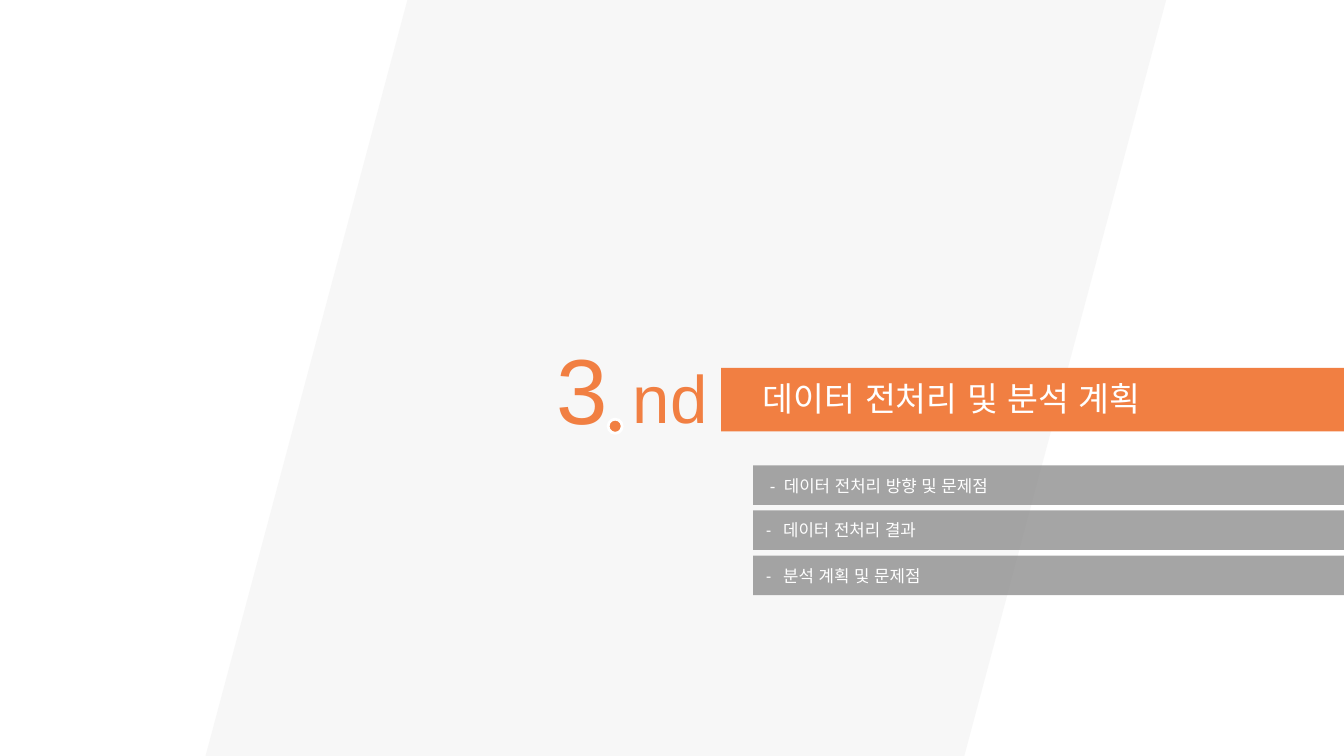
"""Build the section divider slide for chapter three."""
from lxml import etree
from pptx import Presentation
from pptx.dml.color import RGBColor
from pptx.enum.shapes import MSO_SHAPE as Preset
from pptx.enum.text import MSO_ANCHOR as Anchor, MSO_AUTO_SIZE as Fit, PP_ALIGN as Align
from pptx.oxml.ns import qn
from pptx.util import Inches, Pt

ORANGE, WHITE, PALE, GREY = "F17F42", "FFFFFF", "F2F2F2", "808080"

deck = Presentation()
deck.slide_width, deck.slide_height = Inches(13.333), Inches(7.5)
page = deck.slides.add_slide(deck.slide_layouts[6])


def shares(left, top, width, height):
    """Turn percentages of the slide's size into lengths."""
    across, down = deck.slide_width / 100, deck.slide_height / 100
    return int(left * across), int(top * down), int(width * across), int(height * down)


def paint(fill, colour, opacity=100):
    """Make a fill solid in a hex colour."""
    fill.solid()
    fill.fore_color.rgb = RGBColor.from_string(colour)
    if opacity < 100:
        tint = fill._xPr.find(qn("a:solidFill"))[0]
        etree.SubElement(tint, qn("a:alpha")).set("val", str(opacity * 1000))


BAR_LEFT, ROW_TOP, ROW_STEP = 56.03, 61.55, 5.97
row_areas = [(BAR_LEFT, ROW_TOP + ROW_STEP * row, 100 - BAR_LEFT, 5.23) for row in range(3)]
blocks = [
    (Preset.PARALLELOGRAM, (15.3, 0, 71.47, 100), PALE, 60),
    (Preset.RECTANGLE, (53.65, 48.67, 46.35, 8.4), ORANGE, 100),
    (Preset.OVAL, (45.25, 55.45, 1.05, 1.87), ORANGE, 100),
    *[(Preset.RECTANGLE, area, GREY, 70) for area in row_areas],
]
shapes = []
for preset, area, colour, opacity in blocks:
    shape = page.shapes.add_shape(preset, *shares(*area))
    shape.shadow.inherit = False
    shape.line.fill.background()
    paint(shape.fill, colour, opacity)
    shapes.append(shape)
band, title_bar, dot, *rows = shapes
band.adjustments[0] = 0.267
paint(dot.line.fill, WHITE)
dot.line.width = Pt(2)

captions = [
    (["3"], (37.28, 43.33, 12.08, 16.13), 66, ORANGE, Align.CENTER, True),
    (["nd"], (46.35, 46.53, 7.13, 12.13), 48, ORANGE, Align.LEFT, False),
    (["데이터 전처리 및 분석 계획"], (BAR_LEFT, 49.33, 32.1, 6.67), 24, WHITE, Align.LEFT, False),
    (["- ", "데이터 전처리 방향 및 문제점"], (56.55, 62.27, 39.53, 4), 12, WHITE, Align.LEFT, True),
]
texts = []
for words, area, size, colour, align, wrap in captions:
    box = page.shapes.add_textbox(*shares(*area))
    box.text_frame.auto_size = Fit.SHAPE_TO_FIT_TEXT
    box.text_frame.word_wrap = wrap
    texts.append((box, words, size, colour, align, "Arial", 130))
for row, words in zip(rows[1:], ["데이터 전처리 결과", "분석 계획 및 문제점"]):
    row.text_frame.vertical_anchor = Anchor.MIDDLE
    row.text_frame.margin_left = Inches(0.13)
    texts.append((row, ["- ", words], 12, WHITE, Align.LEFT, "Calibri", 285))

for box, words, size, colour, align, font, dash_spacing in texts:
    para = box.text_frame.paragraphs[0]
    para.alignment = align
    for part in words:
        span = para.add_run()
        span.text = part
        for key, value in {"size": Pt(size), "name": font}.items():
            setattr(span.font, key, value)
        paint(span.font.fill, colour)
        traits = span._r.get_or_add_rPr()
        etree.SubElement(traits, qn("a:ea")).set("typeface", "Arial")
        if part == "- ":
            traits.set("spc", str(dash_spacing))

deck.save("out.pptx")
